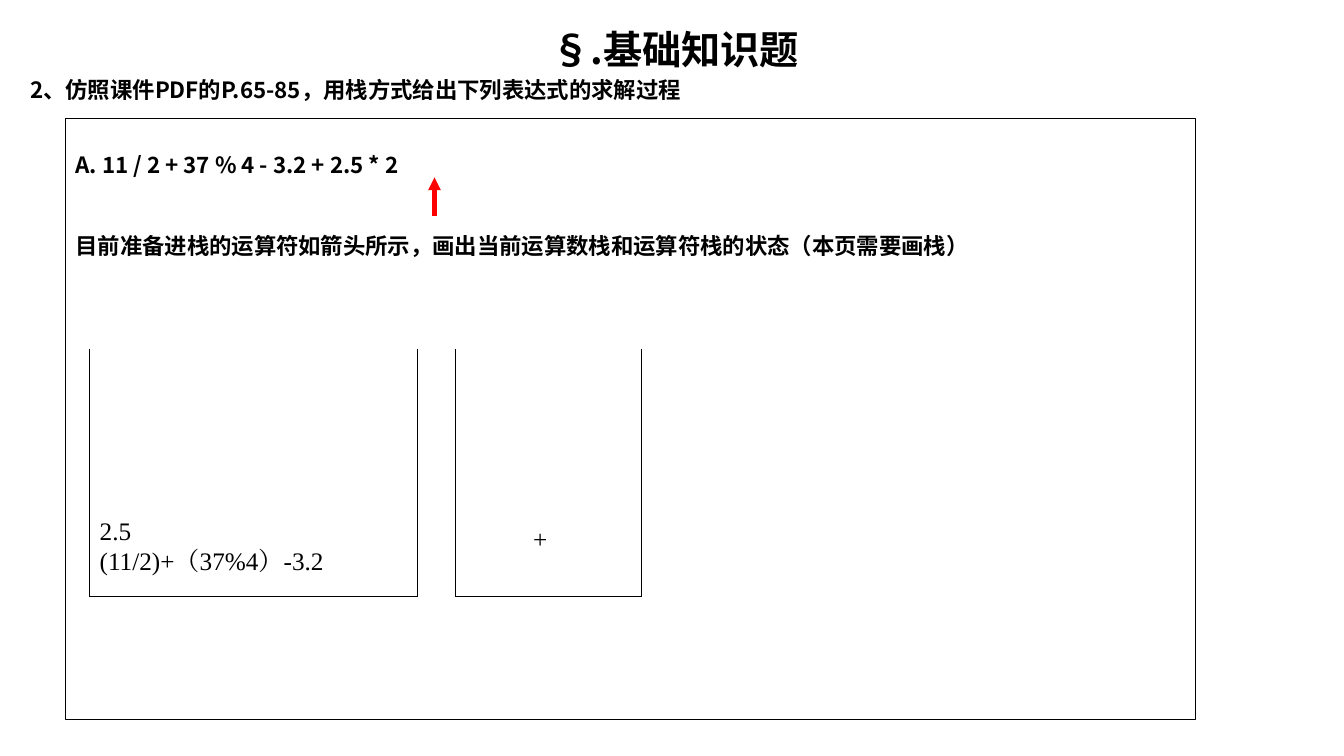
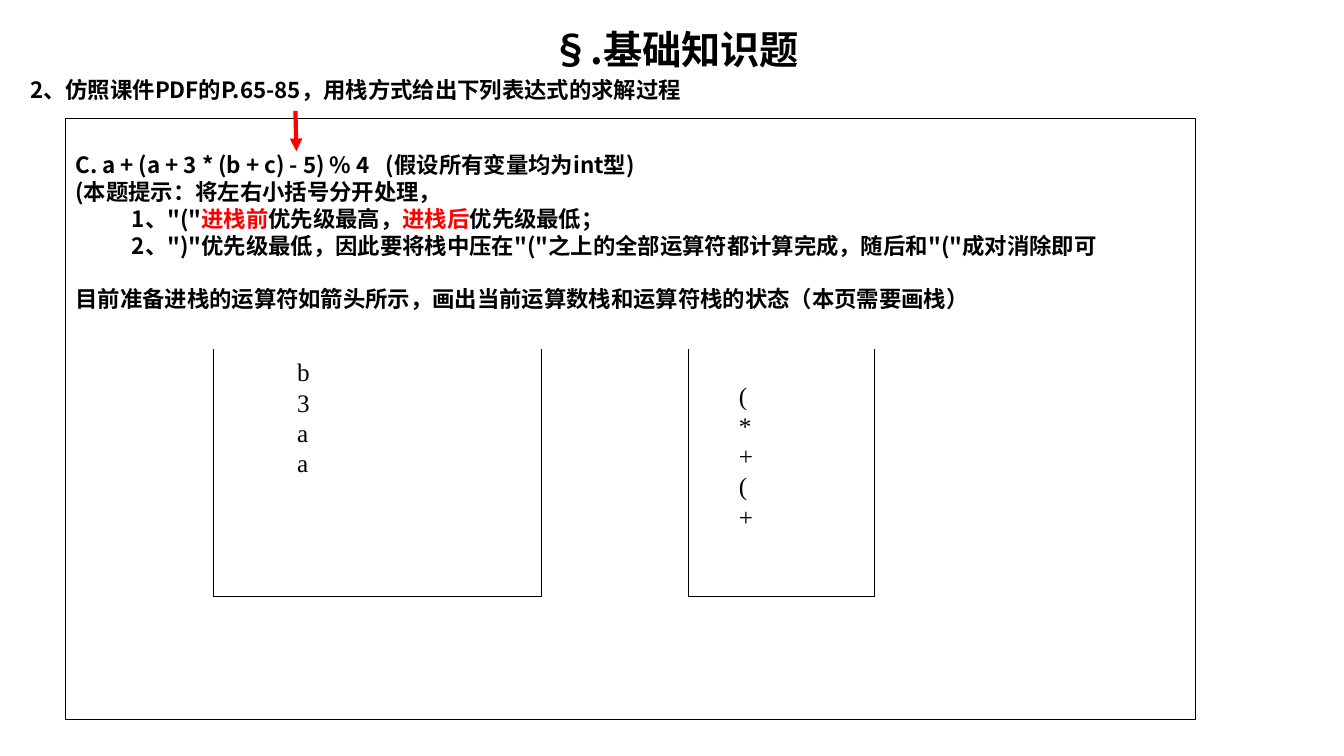
"""Build two slides that show operand and operator stacks for expressions."""
from itertools import pairwise

from lxml import etree
from pptx import Presentation
from pptx.dml.color import RGBColor
from pptx.enum.shapes import MSO_CONNECTOR, MSO_SHAPE
from pptx.enum.text import MSO_ANCHOR, PP_ALIGN
from pptx.oxml.ns import qn
from pptx.util import Inches, Pt

RECT, STRAIGHT = MSO_SHAPE.RECTANGLE, MSO_CONNECTOR.STRAIGHT
TOP, LEFT, CENTER = MSO_ANCHOR.TOP, PP_ALIGN.LEFT, PP_ALIGN.CENTER

SANS, SERIF = "Noto Sans CJK SC", "Times New Roman"
BLACK, RED = "000000", "FF0000"
TITLE_SIZE, BODY_SIZE, STACK_SIZE = 28, 16, 18
LEADING = 1.2
BODY_LINE = BODY_SIZE * LEADING
HINT_INDENT, NOTE_TAB = 0.56, 3.08
STACK_TOP, STACK_BOTTOM = 3.46, 5.92
OPERAND_WIDTH, OPERATOR_WIDTH = 3.25, 1.84

TITLE = "§.基础知识题"
QUESTION = "2、仿照课件PDF的P.65-85，用栈方式给出下列表达式的求解过程"
TASK = "目前准备进栈的运算符如箭头所示，画出当前运算数栈和运算符栈的状态（本页需要画栈）"

SLIDES = [
    {
        "body": [
            {"runs": ["A. 11 / 2 + 37 % 4 - 3.2 + 2.5 * 2"]},
            {"runs": [TASK], "before": 2 * BODY_LINE},
        ],
        "arrow": [(4.31, 2.14), (4.31, 1.76)],
        "stacks": [
            {"left": 0.89, "width": OPERAND_WIDTH, "at": (0.89, 5.06, 3.08, 0.71),
             "items": ["2.5", "(11/2)+（37%4）-3.2"]},
            {"left": 4.52, "width": OPERATOR_WIDTH, "at": (5.19, 5.14, 0.57, 0.4),
             "items": ["+"]},
        ],
    },
    {
        "body": [
            {"runs": ["C. a + (a + 3 * (b + c) - 5) % 4\t(假设所有变量均为int型)"], "tab": NOTE_TAB},
            {"runs": ["(本题提示：将左右小括号分开处理，"]},
            {"runs": ["1、\"(\"", ("进栈前", RED), "优先级最高，", ("进栈后", RED), "优先级最低；"],
             "indent": HINT_INDENT},
            {"runs": ["2、\")\"优先级最低，因此要将栈中压在\"(\"之上的全部运算符都计算完成，随后和\"(\"成对消除即可"],
             "indent": HINT_INDENT},
            {"runs": [TASK], "before": BODY_LINE},
        ],
        "arrow": [(2.93, 1.1), (2.94, 1.5)],
        "stacks": [
            {"left": 2.12, "width": OPERAND_WIDTH, "at": (2.85, 3.49, 1.37, 1.31),
             "items": ["b", "3", "a", "a"]},
            {"left": 6.83, "width": OPERATOR_WIDTH, "at": (7.23, 3.72, 0.9, 1.62),
             "items": ["(", "*", "+", "(", "+"]},
        ],
    },
]


def rgb(color):
    return RGBColor.from_string(color)


def add_line(s, start, end, color=BLACK, width=0.75, arrow=False):
    line = s.shapes.add_connector(STRAIGHT, *map(Inches, start + end))
    line.line.color.rgb = rgb(color)
    line.line.width = Pt(width)
    if arrow:
        etree.SubElement(line.line._get_or_add_ln(), qn("a:tailEnd"), type="triangle")
    etree.SubElement(line._element.spPr, qn("a:effectLst"))


def write(tf, paras, size, font=SANS, bold=True, top_inset=0.05):
    tf.word_wrap = True
    tf.vertical_anchor = TOP
    tf.margin_top = Inches(top_inset)
    for i, para in enumerate(paras):
        p = tf.add_paragraph() if i else tf.paragraphs[0]
        pt = para.get("size", size)
        p.alignment = para.get("align", LEFT)
        p.line_spacing = Pt(pt * LEADING)
        p.space_before = Pt(para.get("before", 0))
        pPr = p._p.get_or_add_pPr()
        if "indent" in para:
            pPr.set("marL", str(Inches(para["indent"])))
        if "tab" in para:
            tabs = etree.SubElement(pPr, qn("a:tabLst"))
            etree.SubElement(tabs, qn("a:tab"), pos=str(Inches(para["tab"])), algn="l")
        for run in para["runs"]:
            text, color = (run, BLACK) if isinstance(run, str) else run
            r = p.add_run()
            r.text = text
            r.font.size = Pt(pt)
            r.font.bold = bold
            r.font.color.rgb = rgb(color)
            r.font.name = font
            etree.SubElement(r._r.get_or_add_rPr(), qn("a:ea"), typeface=font)


def add_text(s, at, paras, size, **style):
    sp = s.shapes.add_textbox(*map(Inches, at))
    write(sp.text_frame, paras, size, **style)


def add_heading(s):
    add_text(s, (0.2, 0.2, 12.99, 0.9), [
        {"runs": [TITLE], "size": TITLE_SIZE, "align": CENTER},
        {"runs": [QUESTION], "before": 0.2 * BODY_SIZE},
    ], BODY_SIZE)


def add_body(s, paras):
    sp = s.shapes.add_shape(RECT, *map(Inches, (0.65, 1.18, 11.21, 5.96)))
    sp.shadow.inherit = False
    sp.fill.background()
    sp.line.color.rgb = rgb(BLACK)
    sp.line.width = Pt(0.75)
    write(sp.text_frame, paras, BODY_SIZE, top_inset=0.32)


def add_stack(s, stack):
    left, right = stack["left"], stack["left"] + stack["width"]
    corners = [(left, STACK_TOP), (left, STACK_BOTTOM), (right, STACK_BOTTOM), (right, STACK_TOP)]
    for start, end in pairwise(corners):
        add_line(s, start, end)
    items = [{"runs": [item]} for item in stack["items"]]
    add_text(s, stack["at"], items, STACK_SIZE, font=SERIF, bold=False)


def main():
    prs = Presentation()
    prs.slide_width, prs.slide_height = Inches(13.33), Inches(7.5)
    for content in SLIDES:
        s = prs.slides.add_slide(prs.slide_layouts[6])
        add_heading(s)
        add_body(s, content["body"])
        add_line(s, *content["arrow"], color=RED, width=3, arrow=True)
        for stack in content["stacks"]:
            add_stack(s, stack)
    prs.save("out.pptx")


if __name__ == "__main__":
    main()
